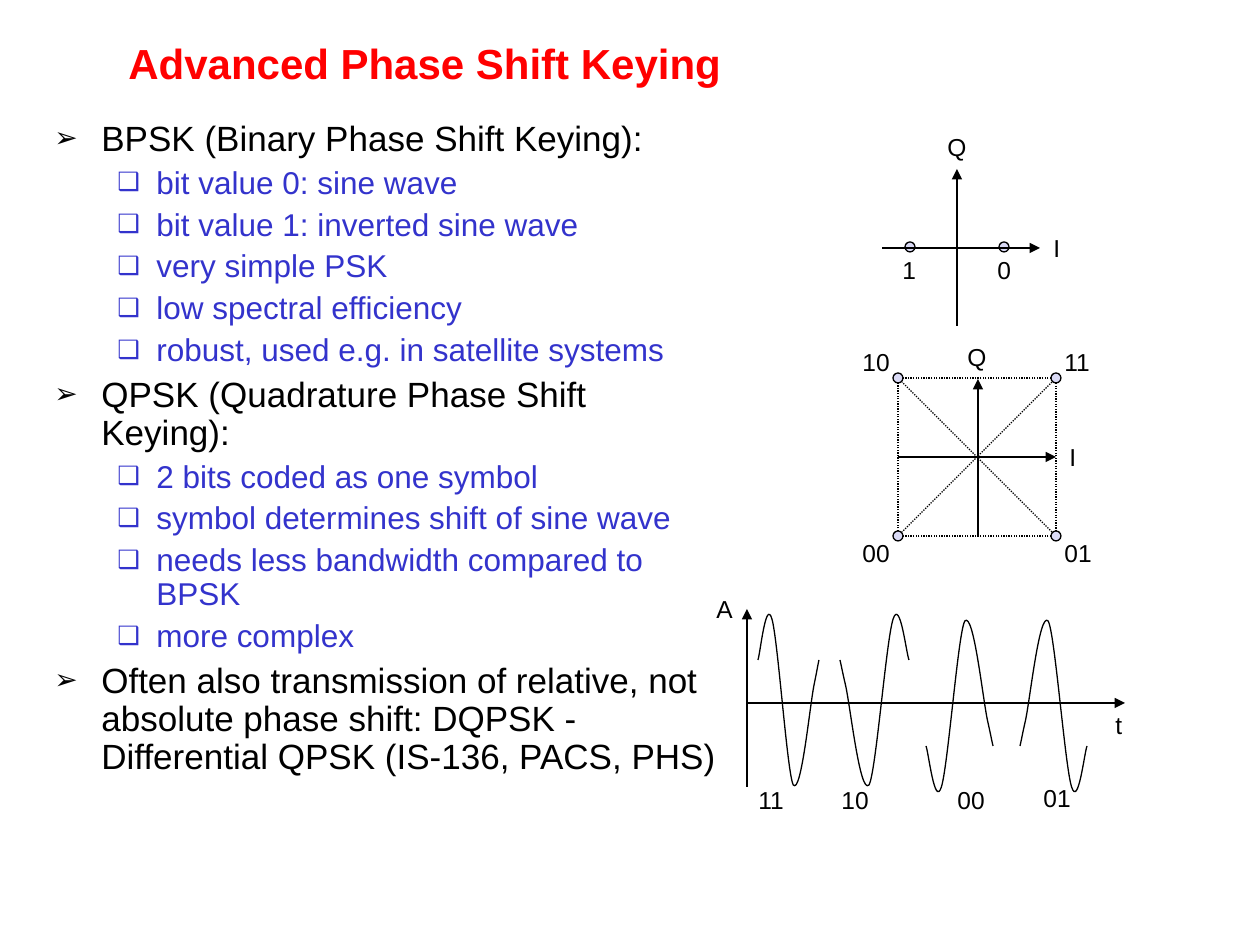
from dataclasses import dataclass

from lxml import etree
from pptx import Presentation
from pptx.dml.color import RGBColor
from pptx.enum.dml import MSO_LINE
from pptx.enum.shapes import MSO_CONNECTOR, MSO_SHAPE
from pptx.enum.text import MSO_ANCHOR, MSO_AUTO_SIZE
from pptx.oxml.ns import qn
from pptx.util import Pt

STRAIGHT = MSO_CONNECTOR.STRAIGHT
DOT_SHAPE = MSO_SHAPE.FLOWCHART_CONNECTOR
DOTTED = MSO_LINE.ROUND_DOT
MIDDLE = MSO_ANCHOR.MIDDLE
GROW = MSO_AUTO_SIZE.SHAPE_TO_FIT_TEXT
BLANK = 6


@dataclass(frozen=True)
class Theme:
    font: str = "Arial"
    title: str = "FF0000"
    ink: str = "000000"
    detail: str = "3333CC"
    dot: str = "DADAF6"
    title_size: int = 24
    label_size: int = 14
    line_width: float = 0.75


@dataclass(frozen=True)
class BulletStyle:
    mark: str
    color: str
    size: int
    margin: int
    hanging: int
    space_before: float


@dataclass(frozen=True)
class Label:
    text: str
    left: int
    top: int


@dataclass(frozen=True)
class Line:
    x1: int
    y1: int
    x2: int
    y2: int
    arrow: bool = True


@dataclass(frozen=True)
class Wave:
    start: int
    end: int
    direction: int


THEME = Theme()
BULLETS = (
    BulletStyle("➢", THEME.ink, 20, 47, 47, 5),
    BulletStyle("❑", THEME.detail, 18, 102, 39, 4.5),
)
OUTLINE = (
    (0, "BPSK (Binary Phase Shift Keying):"),
    (1, "bit value 0: sine wave"),
    (1, "bit value 1: inverted sine wave"),
    (1, "very simple PSK"),
    (1, "low spectral efficiency"),
    (1, "robust, used e.g. in satellite systems"),
    (0, "QPSK (Quadrature Phase Shift Keying):"),
    (1, "2 bits coded as one symbol"),
    (1, "symbol determines shift of sine wave"),
    (1, "needs less bandwidth compared to BPSK"),
    (1, "more complex"),
    (0, "Often also transmission of relative, not absolute phase shift: "
        "DQPSK - Differential QPSK (IS-136, PACS, PHS)"),
)

LABEL_WIDTHS = {"Q": 45, "A": 43, "I": 32, "t": 32, "0": 40, "1": 40}
TWO_BIT_WIDTH = 54
LABEL_HEIGHT = 43
DOT_RADIUS = 5

BPSK_DOTS = ((1004, 247), (910, 247))
BPSK_LABELS = (Label("Q", 935, 126), Label("I", 1041, 227),
               Label("0", 985, 249), Label("1", 890, 249))
BPSK_AXES = (Line(957, 326, 957, 169), Line(882, 248, 1040, 248))

LEFT, TOP, RIGHT, BOTTOM = 898, 378, 1056, 536
QPSK_CORNERS = ((RIGHT, TOP), (RIGHT, BOTTOM), (LEFT, BOTTOM), (LEFT, TOP))
QPSK_LABELS = (Label("Q", 955, 336), Label("I", 1057, 436),
               Label("11", 1052, 341), Label("01", 1052, 532),
               Label("10", 850, 341), Label("00", 850, 532))
QPSK_AXES = (Line(978, 537, 978, 379), Line(898, 457, 1056, 457))

TIME_AXIS = 703
SIGNAL_AXES = (Line(747, 787, 747, 609), Line(747, TIME_AXIS, 1125, TIME_AXIS))
SIGNAL_LABELS = (Label("11", 746, 779), Label("10", 829, 779),
                 Label("00", 945, 779), Label("01", 1031, 777),
                 Label("A", 704, 588), Label("t", 1103, 704))
WAVES = (Wave(758, 819, 1), Wave(909, 840, 1),
         Wave(926, 993, -1), Wave(1087, 1020, -1))
# Bezier points: percent of the wave's width, px below the time axis.
WAVE_POINTS = ((0, -43), (4, -50), (13, -105), (23, -84), (33, -63), (48, 71),
               (58, 82), (71, 92), (85, 3), (92, -18), (99, -39), (98, -38),
               (100, -43))


def emu(px: float) -> int:
    return round(px * 914400 / 126)


def rgb(color: str) -> RGBColor:
    return RGBColor.from_string(color)


def style_font(para, size: int, color: str, bold: bool = False) -> None:
    para.font.name = THEME.font
    para.font.size = Pt(size)
    para.font.bold = bold
    para.font.color.rgb = rgb(color)


def style_line(shape) -> None:
    shape.line.color.rgb = rgb(THEME.ink)
    shape.line.width = Pt(THEME.line_width)


def add_box(shapes, left: int, top: int, width: int, height: int):
    box = shapes.add_textbox(emu(left), emu(top), emu(width), emu(height))
    box.text_frame.word_wrap = True
    return box


def add_title(shapes, text: str) -> None:
    frame = add_box(shapes, 116, 31, 1071, 63).text_frame
    frame.vertical_anchor = MIDDLE
    frame.text = text
    style_font(frame.paragraphs[0], THEME.title_size, THEME.title, bold=True)


def add_bullet(para, style: BulletStyle) -> None:
    properties = para._p.get_or_add_pPr()
    properties.set("marL", str(emu(style.margin)))
    properties.set("indent", str(-emu(style.hanging)))
    color = etree.SubElement(properties, qn("a:buClr"))
    etree.SubElement(color, qn("a:srgbClr"), val=style.color)
    etree.SubElement(properties, qn("a:buSzPct"), val="80000")
    etree.SubElement(properties, qn("a:buFont"), typeface=THEME.font)
    etree.SubElement(properties, qn("a:buChar"), char=style.mark)


def add_outline(shapes) -> None:
    frame = add_box(shapes, 42, 115, 693, 725).text_frame
    for index, (level, text) in enumerate(OUTLINE):
        para = frame.add_paragraph() if index else frame.paragraphs[0]
        style = BULLETS[level]
        para.text = text
        para.level = level
        para.line_spacing = 0.9
        para.space_before = Pt(style.space_before)
        add_bullet(para, style)
        style_font(para, style.size, style.color)


def add_label(shapes, label: Label) -> None:
    width = LABEL_WIDTHS.get(label.text, TWO_BIT_WIDTH)
    frame = add_box(shapes, label.left, label.top, width, LABEL_HEIGHT).text_frame
    frame.word_wrap = False
    frame.auto_size = GROW
    frame.text = label.text
    style_font(frame.paragraphs[0], THEME.label_size, THEME.ink)


def add_line(shapes, line: Line) -> None:
    """Draw an arrow, or a dotted line when it has no arrowhead."""
    connector = shapes.add_connector(
        STRAIGHT, emu(line.x1), emu(line.y1), emu(line.x2), emu(line.y2))
    style_line(connector)
    if line.arrow:
        etree.SubElement(connector.line._get_or_add_ln(), qn("a:tailEnd"), type="triangle")
    else:
        connector.line.dash_style = DOTTED
    etree.SubElement(connector._element.spPr, qn("a:effectLst"))


def add_dot(shapes, x: int, y: int) -> None:
    size = emu(2 * DOT_RADIUS)
    dot = shapes.add_shape(DOT_SHAPE, emu(x - DOT_RADIUS), emu(y - DOT_RADIUS), size, size)
    dot.shadow.inherit = False
    dot.fill.solid()
    dot.fill.fore_color.rgb = rgb(THEME.dot)
    style_line(dot)


def add_wave(shapes, wave: Wave) -> None:
    """Outline the control points, then turn each three segments into a curve."""
    points = [(emu(wave.start + (wave.end - wave.start) * percent / 100),
               emu(TIME_AXIS + wave.direction * offset))
              for percent, offset in WAVE_POINTS]
    builder = shapes.build_freeform(*points[0])
    builder.add_line_segments(points[1:], close=False)
    curve = builder.convert_to_shape()
    segments = list(curve._element.iter(qn("a:lnTo")))
    for first in range(0, len(segments), 3):
        bezier = etree.SubElement(segments[first].getparent(), qn("a:cubicBezTo"))
        for segment in segments[first:first + 3]:
            bezier.append(segment[0])
            segment.getparent().remove(segment)
    curve.shadow.inherit = False
    curve.fill.background()
    style_line(curve)


def joining_line(start: tuple[int, int], end: tuple[int, int]) -> Line:
    """Join two dots from rim to rim."""
    across, down = end[0] - start[0], end[1] - start[1]
    trim = 4 if across and down else DOT_RADIUS
    step_x = trim * ((across > 0) - (across < 0))
    step_y = trim * ((down > 0) - (down < 0))
    return Line(start[0] + step_x, start[1] + step_y,
                end[0] - step_x, end[1] - step_y, arrow=False)


def add_constellation(page, dots, links, labels, axes) -> None:
    shapes = page.shapes.add_group_shape().shapes
    for x, y in dots:
        add_dot(shapes, x, y)
    for link in links:
        add_line(shapes, link)
    for label in labels:
        add_label(shapes, label)
    for axis in axes:
        add_line(shapes, axis)


def main() -> None:
    deck = Presentation()
    deck.slide_width, deck.slide_height = emu(1260), emu(945)
    page = deck.slides.add_slide(deck.slide_layouts[BLANK])
    add_title(page.shapes, "Advanced Phase Shift Keying")
    add_outline(page.shapes)
    for axis in SIGNAL_AXES:
        add_line(page.shapes, axis)
    for wave in WAVES:
        add_wave(page.shapes, wave)
    for label in SIGNAL_LABELS:
        add_label(page.shapes, label)
    add_constellation(page, BPSK_DOTS, (), BPSK_LABELS, BPSK_AXES)
    links = [joining_line(start, end) for index, start in enumerate(QPSK_CORNERS)
             for end in QPSK_CORNERS[index + 1:]]
    add_constellation(page, QPSK_CORNERS, links, QPSK_LABELS, QPSK_AXES)
    deck.save("out.pptx")


if __name__ == "__main__":
    main()
